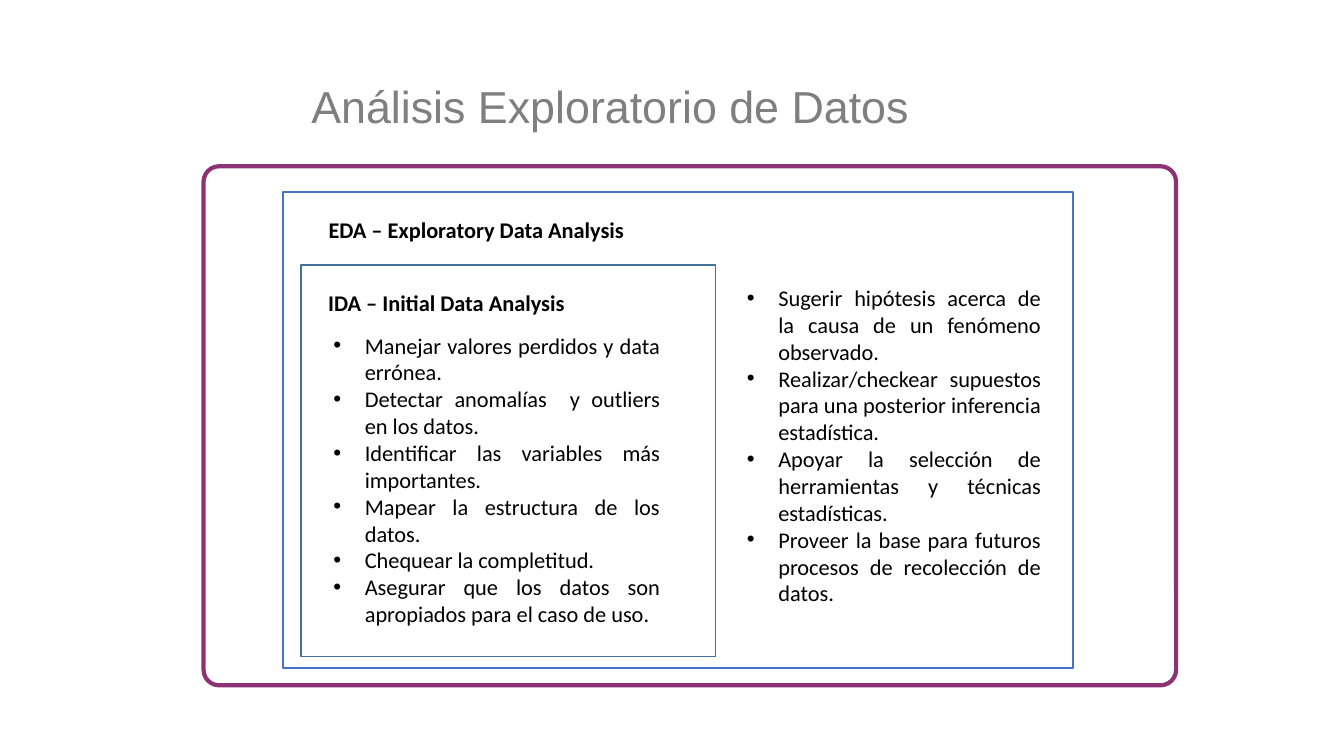
from dataclasses import dataclass

from lxml.etree import SubElement
from pptx import Presentation
from pptx.dml.color import RGBColor
from pptx.enum.shapes import MSO_SHAPE
from pptx.enum.text import MSO_ANCHOR, MSO_AUTO_SIZE, PP_ALIGN
from pptx.oxml.ns import qn
from pptx.util import Cm, Pt


@dataclass(frozen=True)
class Theme:
    background: str = "FFFFFF"
    text: str = "000000"
    title: str = "7F7F7F"
    outer_line: str = "8D3275"
    exploratory_line: str = "4472C4"
    initial_line: str = "42719B"
    title_font: str = "Arial"
    body_font: str = "Calibri"
    title_size: int = 32
    body_size: int = 16
    bullet_indent: float = 0.79


@dataclass(frozen=True)
class Box:
    """Position and size in centimetres."""
    left: float
    top: float
    width: float
    height: float

    def inner(self, left, top, width, height):
        return Box(self.left + left, self.top + top, width, height)

    def lengths(self):
        return Cm(self.left), Cm(self.top), Cm(self.width), Cm(self.height)


THEME = Theme()

INITIAL_TASKS = [
    "Manejar valores perdidos y data errónea.",
    "Detectar anomalías  y outliers en los datos.",
    "Identificar las variables más importantes.",
    "Mapear la estructura de los datos.",
    "Chequear la completitud.",
    "Asegurar que los datos son apropiados para el caso de uso.",
]
EXPLORATORY_TASKS = [
    "Sugerir hipótesis acerca de la causa de un fenómeno observado.",
    "Realizar/checkear supuestos para una posterior inferencia estadística.",
    "Apoyar la selección de herramientas y técnicas estadísticas.",
    "Proveer la base para futuros procesos de recolección de datos.",
]


def add_bullet(paragraph):
    properties = paragraph._p.get_or_add_pPr()
    indent = Cm(THEME.bullet_indent)
    properties.set("marL", str(indent))
    properties.set("indent", str(-indent))
    color = SubElement(properties, qn("a:buClr"))
    SubElement(color, qn("a:srgbClr"), val=THEME.text)
    SubElement(properties, qn("a:buFont"), typeface="Arial")
    SubElement(properties, qn("a:buChar"), char="•")


def write_text(shape, lines, *, font=THEME.body_font, size=THEME.body_size,
               color=THEME.text, bold=False, align=PP_ALIGN.LEFT,
               anchor=MSO_ANCHOR.TOP, line_spacing=1.0, bullets=False, wrap=True):
    frame = shape.text_frame
    frame.word_wrap = wrap
    frame.auto_size = MSO_AUTO_SIZE.NONE
    frame.vertical_anchor = anchor
    for index, line in enumerate(lines):
        paragraph = frame.paragraphs[0] if index == 0 else frame.add_paragraph()
        if bullets:
            add_bullet(paragraph)
        paragraph.alignment = align
        paragraph.line_spacing = line_spacing
        paragraph.space_before = Pt(0)
        run = paragraph.add_run()
        run.text = line
        run.font.name = font
        run.font.size = Pt(size)
        run.font.bold = bold
        run.font.color.rgb = RGBColor.from_string(color)


def place(placeholder, box):
    """Move a placeholder into its box and in front of the frames."""
    placeholder.left, placeholder.top, placeholder.width, placeholder.height = box.lengths()
    placeholder.element.getparent().append(placeholder.element)


def add_frame(slide, box, line_color, line_width, preset=MSO_SHAPE.RECTANGLE):
    shape = slide.shapes.add_shape(preset, *box.lengths())
    shape.shadow.inherit = False
    shape.fill.solid()
    shape.fill.fore_color.rgb = RGBColor.from_string(THEME.background)
    shape.line.color.rgb = RGBColor.from_string(line_color)
    shape.line.width = Pt(line_width)
    return shape


def add_heading(slide, box, text):
    heading = slide.shapes.add_textbox(*box.lengths())
    write_text(heading, [text], bold=True, wrap=False)


def fill_list(placeholder, box, tasks):
    place(placeholder, box)
    write_text(placeholder, tasks, align=PP_ALIGN.JUSTIFY, bullets=True)


def build_title(slide, box):
    title = slide.shapes.title
    place(title, box)
    write_text(title, ["Análisis Exploratorio de Datos"], font=THEME.title_font,
               size=THEME.title_size, color=THEME.title, align=PP_ALIGN.JUSTIFY,
               anchor=MSO_ANCHOR.MIDDLE, line_spacing=0.9)


def build_initial_analysis(slide, box):
    add_frame(slide, box, THEME.initial_line, 1)
    add_heading(slide, box.inner(0.43, 0.48, 6.55, 0.94), "IDA – Initial Data Analysis")
    fill_list(slide.placeholders[1], box.inner(0.56, 1.55, 8.74, 8.46), INITIAL_TASKS)


def build_exploratory_analysis(slide, box):
    add_frame(slide, box, THEME.exploratory_line, 1.5)
    add_heading(slide, box.inner(0.89, 0.48, 8.05, 0.94), "EDA – Exploratory Data Analysis")
    build_initial_analysis(slide, box.inner(0.45, 1.83, 10.44, 9.86))
    fill_list(slide.placeholders[2], box.inner(11.43, 2.18, 7.92, 9.14), EXPLORATORY_TASKS)


def build_slide(presentation):
    two_lists_layout = presentation.slide_layouts[3]
    slide = presentation.slides.add_slide(two_lists_layout)

    # Outer rounded frame
    outer = Box(5.13, 4.19, 24.51, 13.08)
    panel = add_frame(slide, outer, THEME.outer_line, 3, MSO_SHAPE.ROUNDED_RECTANGLE)
    panel.adjustments[0] = 0.03

    # Title and nested analysis frames
    build_title(slide, Box(7.59, 1.73, 17.35, 2.03))
    build_exploratory_analysis(slide, outer.inner(2.01, 0.66, 19.91, 11.99))


def main():
    presentation = Presentation()
    presentation.slide_width = Cm(33.87)
    presentation.slide_height = Cm(19.05)
    build_slide(presentation)
    presentation.save("out.pptx")


if __name__ == "__main__":
    main()
